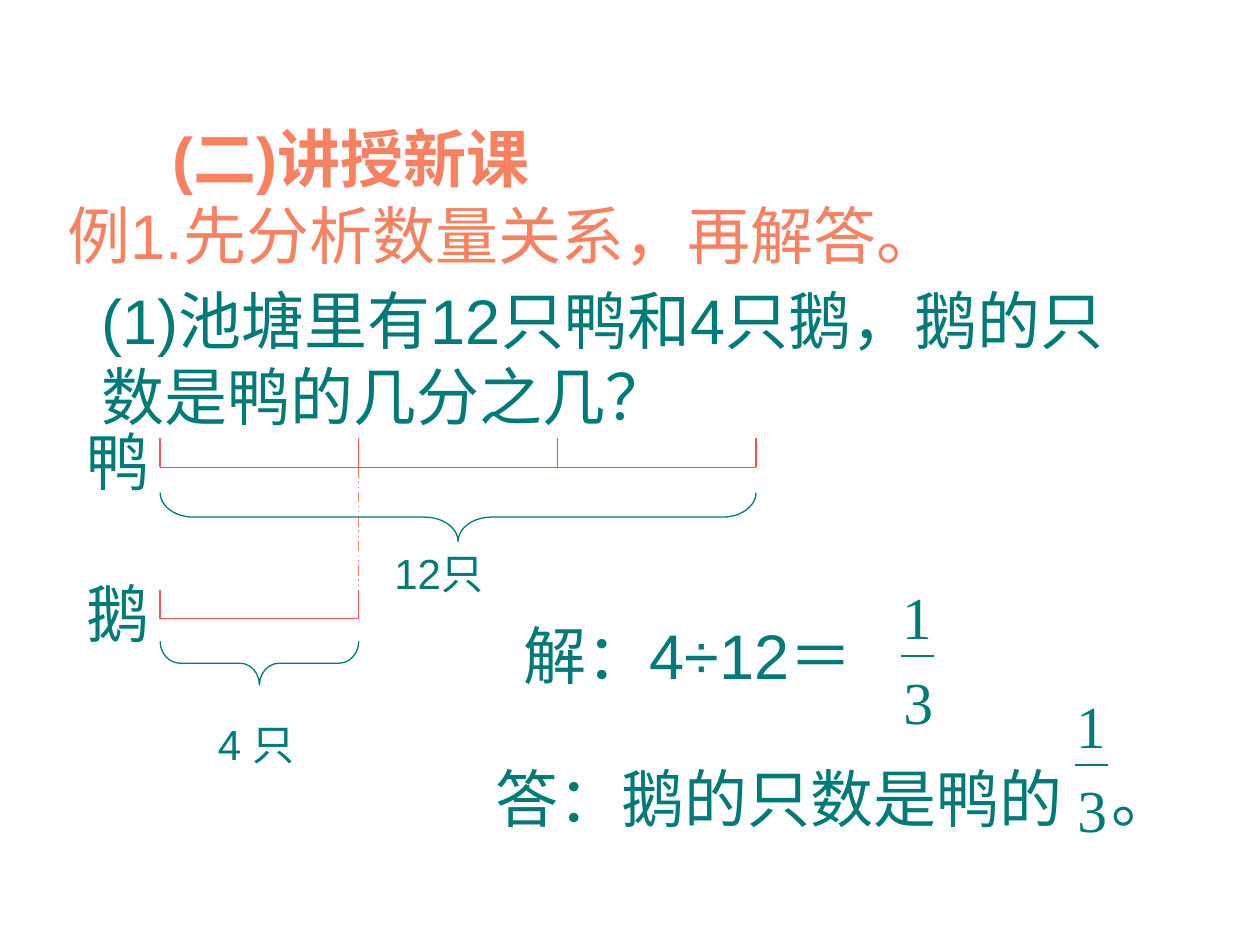
from lxml import etree
from pptx import Presentation
from pptx.dml.color import RGBColor
from pptx.enum import dml, shapes, text
from pptx.oxml.ns import qn
from pptx.util import Pt

CORAL = RGBColor(0xF7, 0x81, 0x61)
TEAL = RGBColor(0x00, 0x7A, 0x77)
RED = RGBColor(0xFF, 0x50, 0x50)

SEGMENT = 113.5
TICK = 16.5
BAR_LEFT = 91.5
DUCK_BASE = 267
GOOSE_BASE = 353.5


def add_text(slide, content, left, top, width, height, size=36, color=TEAL,
             font="Arial", bold=False, wrap=False, inset=True, tab=None,
             align=text.PP_ALIGN.LEFT, anchor=text.MSO_ANCHOR.TOP):
    box = slide.shapes.add_textbox(Pt(left), Pt(top), Pt(width), Pt(height))
    frame = box.text_frame
    frame.word_wrap = wrap
    frame.auto_size = text.MSO_AUTO_SIZE.NONE if wrap else text.MSO_AUTO_SIZE.SHAPE_TO_FIT_TEXT
    frame.vertical_anchor = anchor
    frame.margin_left = frame.margin_right = Pt(7.2 if inset else 0)
    frame.margin_top = frame.margin_bottom = Pt(3.6 if inset else 0)
    paragraph = frame.paragraphs[0]
    paragraph.alignment = align
    if tab is not None:
        tabs = etree.SubElement(paragraph._p.get_or_add_pPr(), qn("a:tabLst"))
        etree.SubElement(tabs, qn("a:tab"), pos=str(Pt(tab)), algn="l")
    run = paragraph.add_run()
    run.text = content
    run.font.name = font
    run.font.size = Pt(size)
    run.font.bold = bold
    run.font.color.rgb = color


def add_line(slide, x1, y1, x2, y2, color=RED, weight=0.75, dash=None):
    line = slide.shapes.add_connector(
        shapes.MSO_CONNECTOR.STRAIGHT, Pt(x1), Pt(y1), Pt(x2), Pt(y2))
    line.line.color.rgb = color
    line.line.width = Pt(weight)
    if dash is not None:
        line.line.dash_style = dash
    etree.SubElement(line._element.spPr, qn("a:effectLst"))


def add_brace(slide, left, top, width, height, curve):
    """Draw a brace under a bar, its point down, inside the given box."""
    brace = slide.shapes.add_shape(
        shapes.MSO_SHAPE.RIGHT_BRACE,
        Pt(left + (width - height) / 2), Pt(top + (height - width) / 2),
        Pt(height), Pt(width))
    brace.rotation = 90
    brace.adjustments[0] = curve
    brace.shadow.inherit = False
    brace.fill.background()
    brace.line.color.rgb = TEAL
    brace.line.width = Pt(0.75)


def add_bar(slide, name, left, base, segments):
    """Draw a named quantity bar with a tick at the end of each segment."""
    right = left + segments * SEGMENT
    add_line(slide, left, base, right, base)
    for index in range(segments + 1):
        x = left + index * SEGMENT
        add_line(slide, x, base, x, base - TICK)
    add_text(slide, name, left - 49, base - 29, 50.4, 50.4)


def add_fraction(slide, numerator, denominator, left, top):
    """Place a fraction whose bar starts at the given point."""
    add_line(slide, left, top, left + 18.7, top, color=TEAL, weight=1.39)
    for digit, dx, dy in ((numerator, 0.7, -43.5), (denominator, 1.4, 5)):
        add_text(slide, digit, left + dx, top + dy, 17.3, 41, size=34,
                 font="Times New Roman", inset=False)


def add_question(slide, left, top):
    add_text(slide, "(二)讲授新课", left + 3.5, top, 330.5, 77.8, color=CORAL, bold=True,
             wrap=True, align=text.PP_ALIGN.CENTER, anchor=text.MSO_ANCHOR.MIDDLE)
    add_text(slide, "例1.先分析数量关系，再解答。", left, top + 57.6, 529, 50.4, color=CORAL)
    add_text(slide, "(1)池塘里有12只鸭和4只鹅，鹅的只数是鸭的几分之几？",
             left + 19.5, top + 106.5, 592, 93.6, wrap=True)


def add_diagram(slide, left):
    shared_end = left + SEGMENT
    add_line(slide, shared_end, DUCK_BASE, shared_end, GOOSE_BASE - 8, color=CORAL,
             dash=dml.MSO_LINE.DASH_DOT_DOT)
    add_bar(slide, "鸭", left, DUCK_BASE, 3)
    add_brace(slide, left, DUCK_BASE + 14.5, 3 * SEGMENT, 28, curve=0.68)
    add_text(slide, "12只", left + 126.7, DUCK_BASE + 42.6, 70.6, 36, size=24)
    add_bar(slide, "鹅", left, GOOSE_BASE, 1)
    add_brace(slide, left, GOOSE_BASE + 13, SEGMENT, 25, curve=0.45)
    add_text(slide, "4 只", left + 25.9, GOOSE_BASE + 53.3, 64, 36, size=24)


def add_solution(slide, left, top):
    add_text(slide, "解：4÷12＝", left + 16.5, top, 219.6, 50.4)
    add_fraction(slide, "1", "3", left + 239, top + 26.5)
    add_text(slide, "答：鹅的只数是鸭的\t。", left, top + 82, 407, 50.4, wrap=True, tab=352)
    add_fraction(slide, "1", "3", left + 338.4, top + 88.5)


def main():
    presentation = Presentation()
    presentation.slide_width = Pt(720)
    presentation.slide_height = Pt(540)
    slide = presentation.slides.add_slide(presentation.slide_layouts[6])
    add_question(slide, 31.7, 51.1)
    add_diagram(slide, BAR_LEFT)
    add_solution(slide, 275.8, 348.5)
    presentation.save("out.pptx")


if __name__ == "__main__":
    main()
